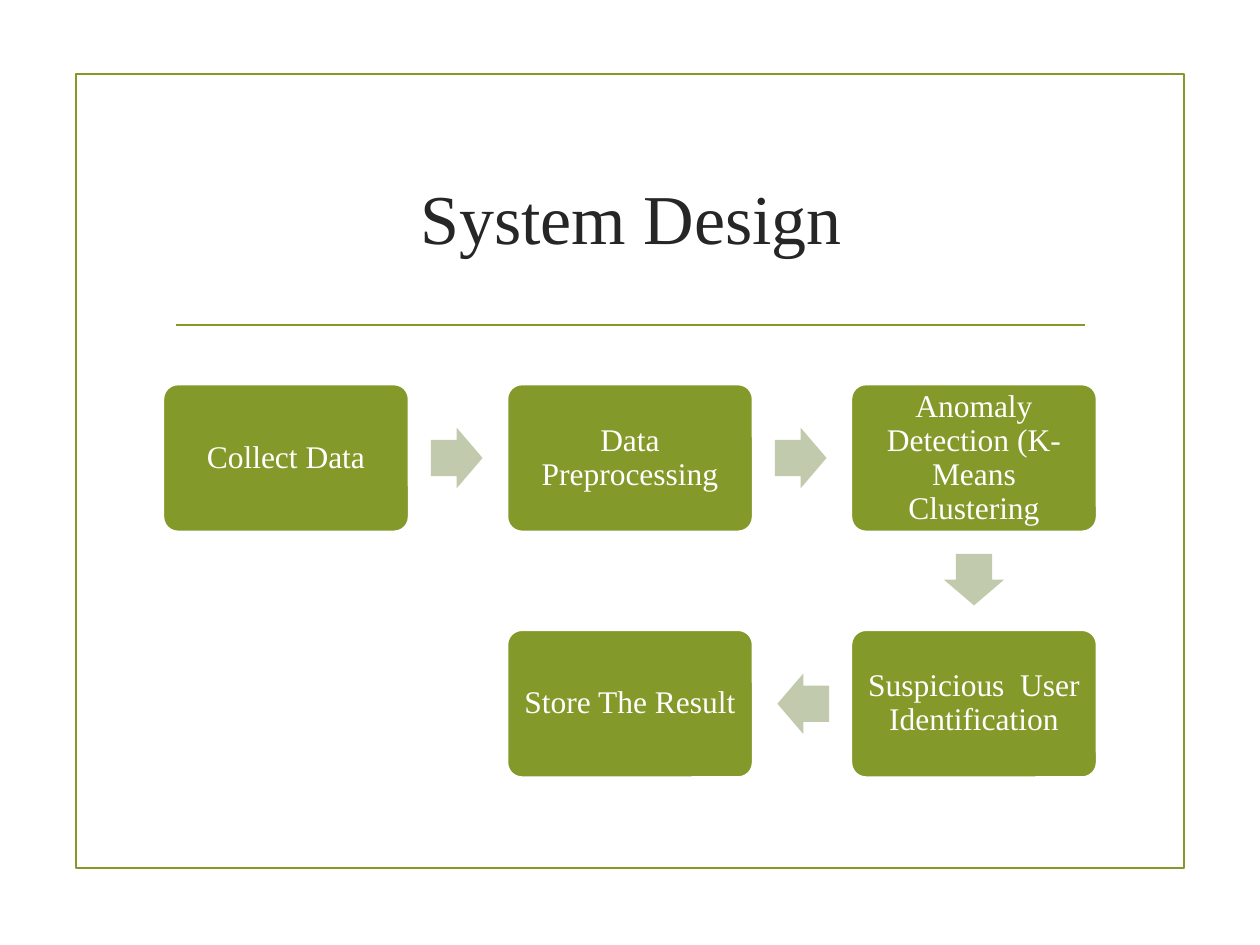
from dataclasses import dataclass
from pptx import Presentation
from pptx.dml.color import RGBColor as Rgb
from pptx.enum.shapes import MSO_CONNECTOR as Line, MSO_SHAPE as Kind
from pptx.enum.text import MSO_ANCHOR as Anchor, PP_ALIGN as Align
from pptx.oxml.ns import qn
from pptx.util import Inches, Pt
from lxml.etree import SubElement


@dataclass(frozen=True)
class Theme:
    font: str = "Times New Roman"
    green: str = "83992A"
    pale: str = "C1CAAD"
    white: str = "FFFFFF"
    dark: str = "262626"
    title: float = 40
    body: float = 18
    line: float = 1.25


@dataclass(frozen=True)
class Step:
    text: str
    col: int
    row: int

    @property
    def x(self) -> float:
        return MID + (self.col - 1) * (BOX_W + GAP)

    @property
    def y(self) -> float:
        return TOP + BOX_H / 2 + self.row * (BOX_H + GAP)


THEME = Theme()
WIDE, HIGH = 10, 7.5
MID = WIDE / 2
# The flow grid: box height and gap are shares of the box width
BOX_W = 1.95
BOX_H, GAP = 0.6 * BOX_W, 0.4 * BOX_W
TOP = 3.05
ARROW_W, ARROW_H, BACK = 0.41, 0.48, 0.01

STEPS = [
    Step("Collect Data", 0, 0),
    Step("Data Preprocessing", 1, 0),
    Step("Anomaly Detection (K-Means Clustering", 2, 0),
    Step("Suspicious  User Identification", 2, 1),
    Step("Store The Result", 1, 1),
]


def put_text(shape, text: str, *, size: float, color: str,
             inset: float = 0.1, space: float = 1.0) -> None:
    frame = shape.text_frame
    frame.word_wrap = True
    frame.vertical_anchor = Anchor.MIDDLE
    frame.margin_left = frame.margin_right = Inches(inset)
    frame.margin_top = frame.margin_bottom = Inches(min(inset, 0.07))
    para = frame.paragraphs[0]
    para.text = text
    para.alignment = Align.CENTER
    para.line_spacing = space
    font = para.runs[0].font
    font.name, font.size = THEME.font, Pt(size)
    font.color.rgb = Rgb.from_string(color)


def add_shape(slide, kind: Kind, x: float, y: float, w: float, h: float, *,
              fill: str | None = None, line: str | None = None):
    """Draw a preset shape centred on (x, y)."""
    shape = slide.shapes.add_shape(
        kind, Inches(x - w / 2), Inches(y - h / 2), Inches(w), Inches(h))
    shape.shadow.inherit = False
    if fill:
        shape.fill.solid()
        shape.fill.fore_color.rgb = Rgb.from_string(fill)
    else:
        shape.fill.background()
    if line:
        shape.line.color.rgb = Rgb.from_string(line)
        shape.line.width = Pt(THEME.line)
    else:
        shape.line.fill.background()
    return shape


def add_rule(slide, left: float, right: float, y: float) -> None:
    rule = slide.shapes.add_connector(
        Line.STRAIGHT, Inches(left), Inches(y), Inches(right), Inches(y))
    rule.line.color.rgb = Rgb.from_string(THEME.green)
    rule.line.width = Pt(THEME.line)
    SubElement(rule.element.spPr, qn("a:effectLst"))


def add_step(slide, step: Step) -> None:
    box = add_shape(slide, Kind.ROUNDED_RECTANGLE, step.x, step.y,
                    BOX_W, BOX_H, fill=THEME.green, line=THEME.white)
    box.adjustments[0] = 0.1
    put_text(box, step.text, size=THEME.body, color=THEME.white,
             inset=0.07, space=0.9)


def add_arrow(slide, a: Step, b: Step) -> None:
    """Point from a to b, set slightly back from the middle of the gap."""
    dx, dy = b.col - a.col, b.row - a.row
    arrow = add_shape(slide, Kind.RIGHT_ARROW,
                      (a.x + b.x) / 2 - BACK * dx,
                      (a.y + b.y) / 2 - BACK * dy,
                      ARROW_W, ARROW_H, fill=THEME.pale)
    arrow.adjustments[0] = 0.6
    arrow.adjustments[1] = 0.5
    arrow.rotation = {(1, 0): 0, (0, 1): 90, (-1, 0): 180}[dx, dy]


def main() -> None:
    deck = Presentation()
    deck.slide_width, deck.slide_height = Inches(WIDE), Inches(HIGH)
    slide = deck.slides.add_slide(deck.slide_layouts[6])

    add_shape(slide, Kind.RECTANGLE, MID, HIGH / 2 - 0.01, 8.79, 6.3,
              line=THEME.green)
    add_rule(slide, 1.4, 8.61, 2.58)
    title = slide.shapes.add_textbox(
        Inches(1.29), Inches(1), Inches(7.44), Inches(1.43))
    put_text(title, "System Design", size=THEME.title, color=THEME.dark)

    for step in STEPS:
        add_step(slide, step)
    for a, b in zip(STEPS, STEPS[1:]):
        add_arrow(slide, a, b)
    deck.save("out.pptx")


if __name__ == "__main__":
    main()
